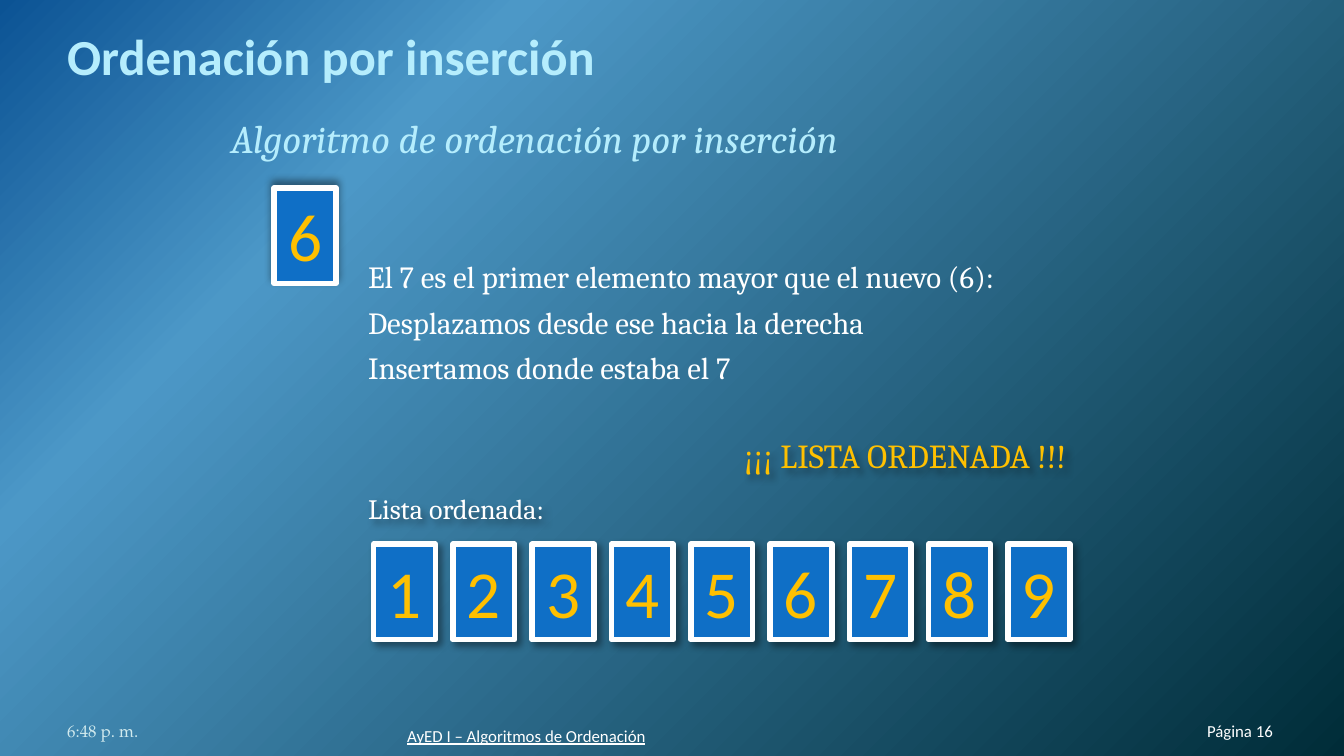
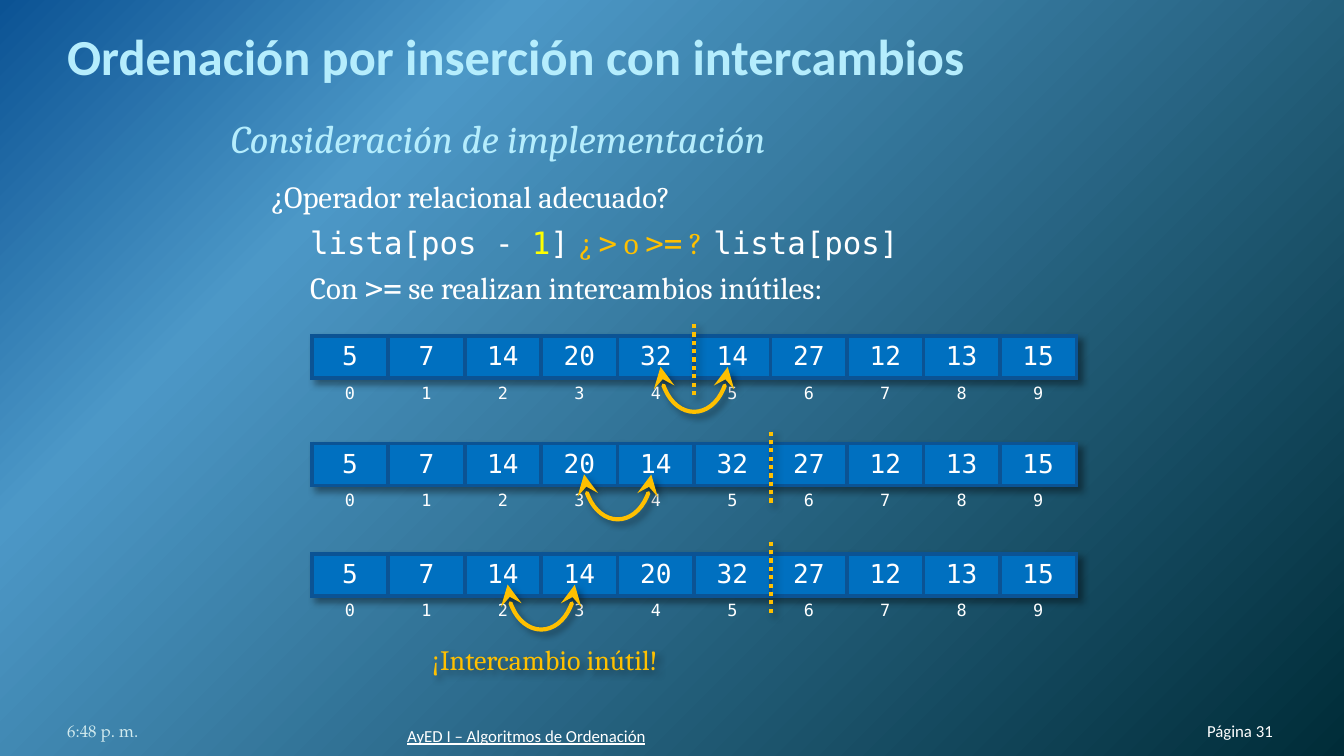
"""Builds two slides on insertion sort: a sorted row of cards and a study of useless swaps."""
import pptx
import pptx.util
import pptx.dml.color
import pptx.enum.dml
import pptx.enum.shapes
import pptx.enum.text
import pptx.oxml
import pptx.oxml.ns
from lxml import etree

qn = pptx.oxml.ns.qn
Pt = pptx.util.Pt
Align = pptx.enum.text.PP_ALIGN
Anchor = pptx.enum.text.MSO_ANCHOR
Shape = pptx.enum.shapes.MSO_SHAPE

WHITE, GOLD, YELLOW, PALE = "FFFFFF", "FFC000", "FFFF00", "B5EDFD"
CARD, CELL, NAVY, MIST = "0F6FC6", "0070C0", "0B5394", "D1EAEE"
GRADIENT = [(0, NAVY), (25, "4C98C7"), (100, "002C38")]
SANS, SERIF, MONO, CLOCK = "Calibri", "Cambria", "DejaVu Sans Mono", "TeX Gyre Pagella"
NO_STYLE = "{2D5ABB26-0587-4C30-8999-92F81FD0307C}"
COLUMNS = 100


def rgb(value):
    return pptx.dml.color.RGBColor.from_string(value)


def child(parent, tag, **attrs):
    return etree.SubElement(parent, qn(tag), {k: str(v) for k, v in attrs.items()})


def set_font(font, name=None, size=None, color=None, **flags):
    if name:
        font.name = name
    if size:
        font.size = Pt(size)
    if color:
        font.color.rgb = rgb(color)
    for key, value in flags.items():
        setattr(font, key, value)


class Deck:
    def __init__(self):
        self.prs = pptx.Presentation()
        self.prs.slide_width = pptx.util.Inches(10)
        self.prs.slide_height = pptx.util.Inches(5.625)
        self.unit = self.prs.slide_width / COLUMNS
        self.s = None

    def grid(self, *cells):
        return [round(c * self.unit) for c in cells]

    def slide(self, title, number):
        self.s = self.prs.slides.add_slide(self.prs.slide_layouts[6])
        self.background()
        tf = self.frame(5, 2.3, 90, 4.1, Anchor.BOTTOM, (0, 0.5, 0, 0))
        self.para(tf, title, name=SANS, size=27, color=PALE, bold=True)
        self.footer(84.9, 52.1, 9.8, f"Página {number}", Align.RIGHT, name=SANS, color=WHITE)
        self.footer(5, 52.1, 23.3, "6:48 p. m.", name=CLOCK, color=MIST)
        self.footer(30.3, 52.5, 37.8, "AyED I – Algoritmos de Ordenación",
                    name=SANS, color=WHITE, underline=True)

    def background(self):
        self.s.background.fill.solid()
        bg = self.s.element.find(".//" + qn("p:bgPr"))
        bg.remove(bg[0])
        grad = pptx.oxml.parse_xml(f'<a:gradFill {pptx.oxml.ns.nsdecls("a")} rotWithShape="1"/>')
        bg.insert(0, grad)
        stops = child(grad, "a:gsLst")
        for pos, color in GRADIENT:
            child(child(stops, "a:gs", pos=pos * 1000), "a:srgbClr", val=color)
        circle = child(grad, "a:path", path="circle")
        child(circle, "a:fillToRect", l=0, t=0, r=100000, b=100000)

    def footer(self, x, y, w, text, align=None, **font):
        tf = self.frame(x, y, w, 3, Anchor.BOTTOM, (0, 0, 0, 0))
        self.para(tf, text, align=align, size=9, **font)

    def frame(self, x, y, w, h, anchor=Anchor.TOP, insets=(1, 0.5, 1, 0.5)):
        tf = self.s.shapes.add_textbox(*self.grid(x, y, w, h)).text_frame
        tf.word_wrap = True
        tf.vertical_anchor = anchor
        tf.margin_left, tf.margin_top, tf.margin_right, tf.margin_bottom = self.grid(*insets)
        return tf

    def para(self, tf, runs, align=None, after=0, indent=0, tabs=(), **font):
        p = tf.add_paragraph() if tf.text else tf.paragraphs[0]
        p.alignment = align
        p.space_after = Pt(after)
        pPr = p._p.get_or_add_pPr()
        if indent:
            pPr.set("marL", str(self.grid(indent)[0]))
            pPr.set("indent", "0")
        if tabs:
            stops = child(pPr, "a:tabLst")
            for pos in self.grid(*tabs):
                child(stops, "a:tab", pos=pos, algn="l")
        set_font(p.font, **font)
        for text, *style in [(runs,)] if isinstance(runs, str) else runs:
            r = p.add_run()
            r.text = text
            if style:
                set_font(r.font, **style[0])

    def heading(self, text):
        tf = self.frame(16.2, 8, 68.6, 41.9)
        self.para(tf, text, after=9, name=SERIF, size=21, color=PALE, italic=True)
        return tf

    def note(self, x, y, w, h, *lines, shadow=True, align=None, **font):
        tf = self.frame(x, y, w, h)
        tf.word_wrap = False
        for line in lines:
            self.para(tf, line, align, after=4.5, name=SERIF, **font)
        if shadow:
            self.shadow(self.s.shapes[-1].element.spPr)

    def shadow(self, parent, angle=45):
        for old in parent.findall(qn("a:effectLst")):
            parent.remove(old)
        outer = child(child(parent, "a:effectLst"), "a:outerShdw", blurRad=Pt(4), dist=Pt(3),
                      dir=angle * 60000, algn="tl", rotWithShape=0)
        child(child(outer, "a:srgbClr", val="000000"), "a:alpha", val=40000)

    def stroke(self, sp, color, width):
        sp.line.color.rgb = rgb(color)
        sp.line.width = Pt(width)

    def card(self, x, y, digit, angle=45):
        sp = self.s.shapes.add_shape(Shape.RECTANGLE, *self.grid(x, y, 4.6, 7.1))
        sp.fill.solid()
        sp.fill.fore_color.rgb = rgb(CARD)
        self.stroke(sp, WHITE, 3)
        self.shadow(sp.element.spPr, angle)
        tf = sp.text_frame
        tf.word_wrap = False
        tf.vertical_anchor = Anchor.TOP
        self.para(tf, str(digit), Align.CENTER, 4.5, name=SANS, size=36, color=GOLD)

    def array(self, x, y, pitch, values):
        gf = self.s.shapes.add_table(2, len(values), *self.grid(x, y, pitch * len(values), 5.5))
        table = gf.table
        table.first_row = table.horz_banding = False
        tblPr = table._tbl.tblPr
        tblPr.find(qn("a:tableStyleId")).text = NO_STYLE
        style_id = tblPr[0]
        self.shadow(tblPr)
        tblPr.append(style_id)
        for row, height in zip(table.rows, self.grid(3.05, 2.45)):
            row.height = height
        for i, value in enumerate(values):
            self.cell(table.cell(0, i), value, 14, "LRTB", CELL)
            self.cell(table.cell(1, i), i, 9, "T")

    def cell(self, cell, value, size, sides, fill=None):
        cell.margin_left = cell.margin_right = self.grid(0.7)[0]
        cell.margin_top = cell.margin_bottom = self.grid(0.4)[0]
        tcPr = cell._tc.get_or_add_tcPr()
        for side in sides:
            ln = child(tcPr, "a:ln" + side, w=Pt(2.25))
            child(child(ln, "a:solidFill"), "a:srgbClr", val=NAVY)
        if fill:
            cell.fill.solid()
            cell.fill.fore_color.rgb = rgb(fill)
        else:
            cell.fill.background()
        self.para(cell.text_frame, str(value), Align.CENTER, name=MONO, size=size, color=WHITE)

    def divider(self, x, y, height):
        kind = pptx.enum.shapes.MSO_CONNECTOR.STRAIGHT
        line = self.s.shapes.add_connector(kind, *self.grid(x, y + height, x, y))
        self.stroke(line, GOLD, 2.25)
        line.line.dash_style = pptx.enum.dml.MSO_LINE.ROUND_DOT
        self.shadow(line._element.spPr)

    def swap(self, center, y):
        w, h = 6.7, 5
        sp = self.s.shapes.add_shape(Shape.ARC, *self.grid(center - w / 2, y, w, h))
        sp.adjustments[0], sp.adjustments[1] = 162, 53.78
        sp.rotation = 270
        spPr = sp.element.spPr
        spPr.find(qn("a:xfrm")).set("flipH", "1")
        sp.fill.background()
        self.stroke(sp, GOLD, 2.25)
        for end in ("a:headEnd", "a:tailEnd"):
            child(spPr.find(qn("a:ln")), end, type="stealth", w="lg", len="lg")
        self.shadow(spPr)


def sorted_list(deck):
    deck.slide("Ordenación por inserción", 16)
    deck.heading("Algoritmo de ordenación por inserción")
    deck.card(20.4, 14, 6, angle=270)
    for i in range(9):
        deck.card(27.8 + 5.9 * i, 40.5, i + 1)
    deck.note(54.4, 31.9, 27, 4, "¡¡¡ LISTA ORDENADA !!!", size=18, color=GOLD)
    deck.note(26.4, 36.1, 16, 3.5, "Lista ordenada:", size=15, color=WHITE)
    deck.note(26.4, 18.7, 51.8, 10.7,
              "El 7 es el primer elemento mayor que el nuevo (6):",
              "Desplazamos desde ese hacia la derecha",
              "Insertamos donde estaba el 7", shadow=False, size=16.5, color=WHITE)


def useless_swaps(deck):
    deck.slide("Ordenación por inserción con intercambios", 31)
    tf = deck.heading("Consideración de implementación")
    serif, mono = {"name": SERIF}, {"name": MONO}
    gold_serif, gold_mono = {**serif, "color": GOLD}, {**mono, "color": GOLD}
    body = {"after": 4.5, "size": 16.5, "color": WHITE}
    deck.para(tf, "¿Operador relacional adecuado?", indent=3, name=SERIF, **body)
    deck.para(tf, [("lista[pos - ", mono), ("1", {**mono, "color": YELLOW}), ("]\t", mono),
                   ("¿ ", gold_serif), (">", gold_mono), (" o ", gold_serif),
                   (">=", gold_mono), (" ?\t", gold_serif), ("lista[pos]", mono)],
              indent=5.9, tabs=(29.2, 42.6), **body)
    deck.para(tf, [("Con ", serif), (">=", mono),
                   (" se realizan intercambios inútiles:", serif)], indent=5.9, **body)

    left, pitch = 23.2, 5.69
    steps = [(25, [5, 7, 14, 20, 32, 14], 5, 5),
             (33, [5, 7, 14, 20, 14, 32], 6, 4),
             (41.2, [5, 7, 14, 14, 20, 32], 6, 3)]
    for top, head, ordered, swapped in steps:
        deck.array(left, top, pitch, head + [27, 12, 13, 15])
        deck.divider(left + pitch * ordered, top - 1, 5.4)
    for top, _, _, swapped in steps:
        deck.swap(left + pitch * swapped, top - 0.2)
    deck.note(30.8, 47.3, 19.5, 3.5, "¡Intercambio inútil!", align=Align.CENTER,
              size=15, color=GOLD)


def main():
    deck = Deck()
    sorted_list(deck)
    useless_swaps(deck)
    deck.prs.save("out.pptx")


if __name__ == "__main__":
    main()
